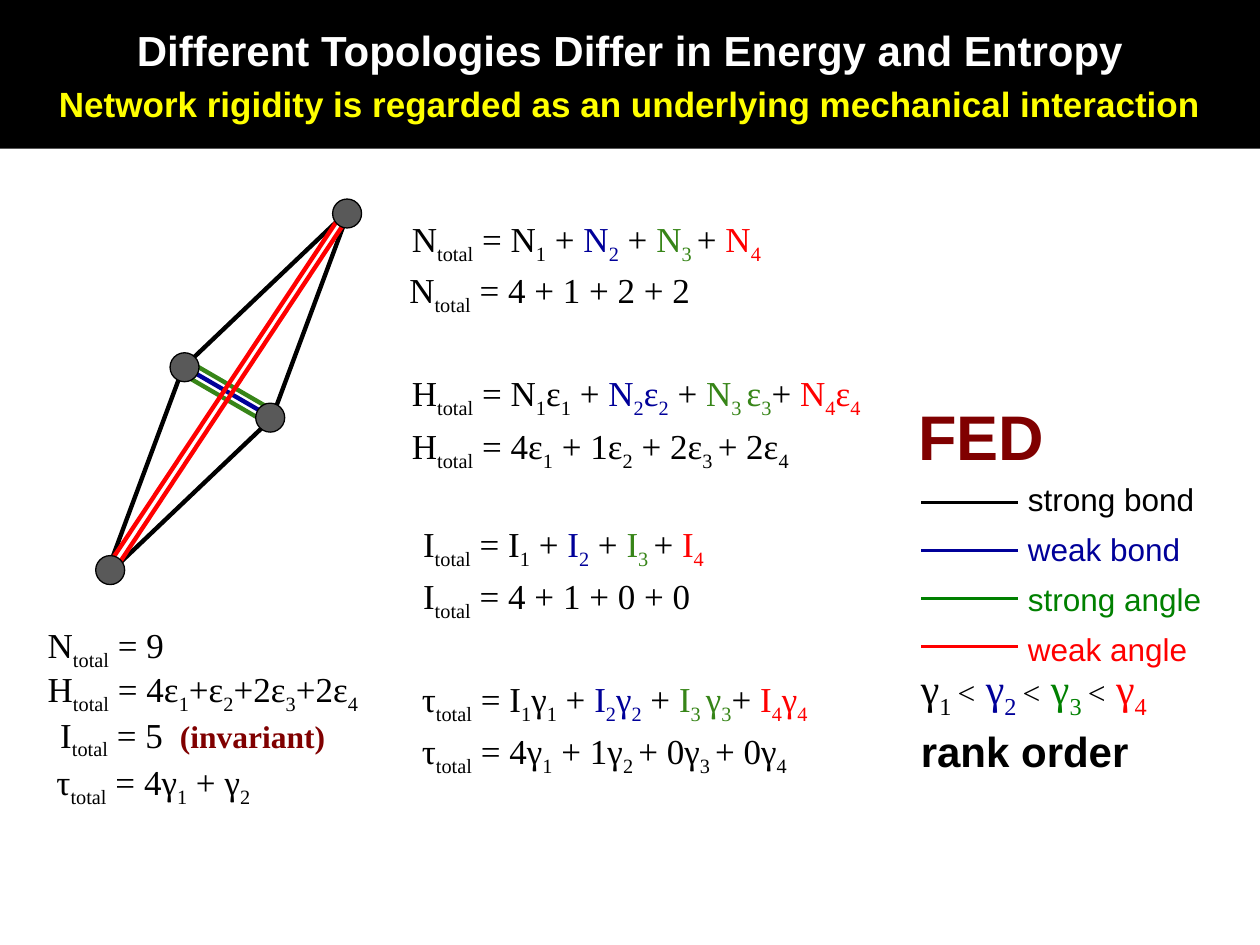
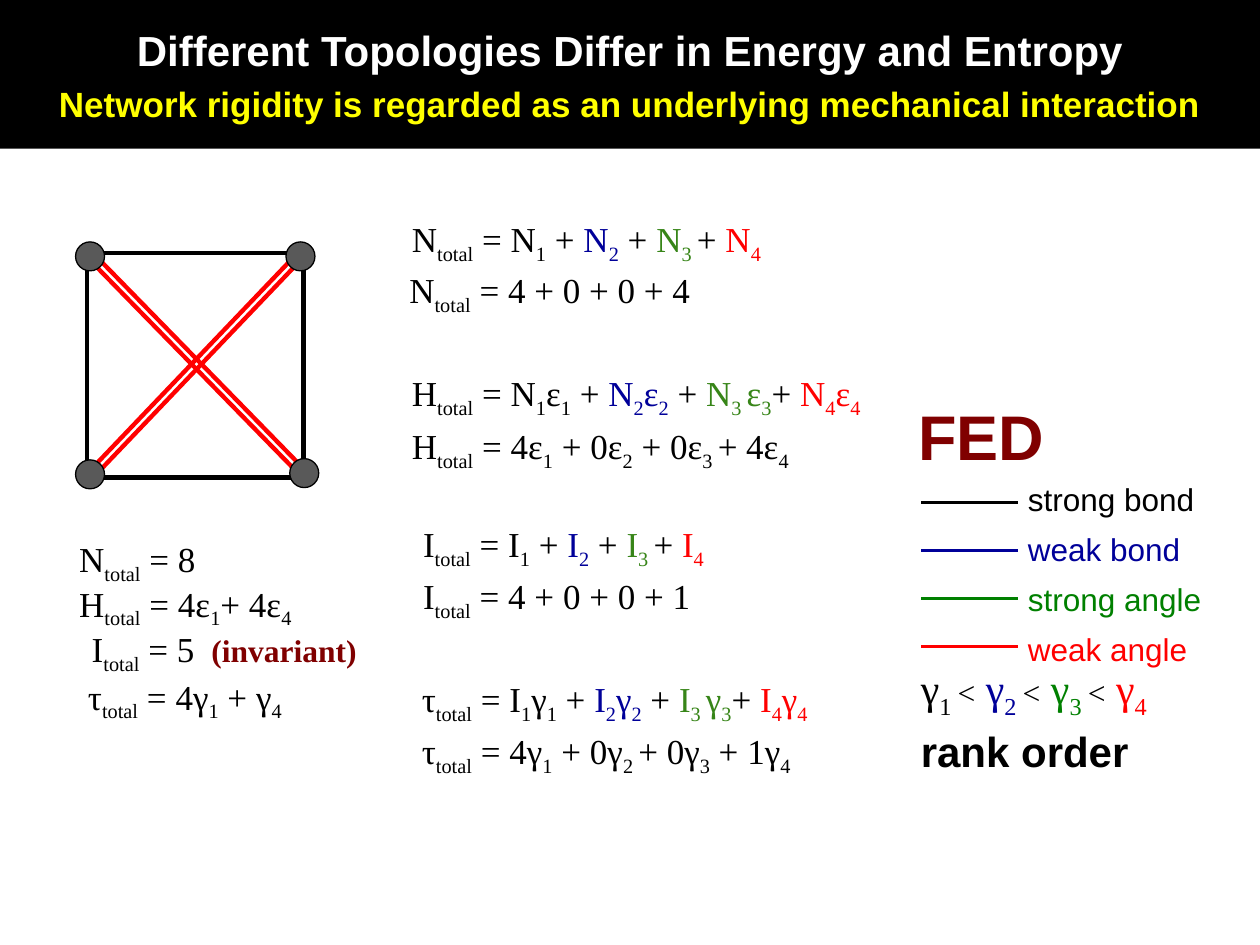
from lxml import etree
from pptx import Presentation
from pptx.dml.color import RGBColor
from pptx.enum.shapes import MSO_CONNECTOR, MSO_SHAPE
from pptx.enum.text import MSO_ANCHOR, PP_ALIGN
from pptx.oxml.ns import qn
from pptx.util import Inches, Pt

STRAIGHT = MSO_CONNECTOR.STRAIGHT
RECTANGLE, OVAL = MSO_SHAPE.RECTANGLE, MSO_SHAPE.OVAL
PARALLELOGRAM = MSO_SHAPE.PARALLELOGRAM
MIDDLE, TOP = MSO_ANCHOR.MIDDLE, MSO_ANCHOR.TOP
CENTER, LEFT = PP_ALIGN.CENTER, PP_ALIGN.LEFT

SANS, SERIF = "Arial", "Times New Roman"
BLACK, WHITE, YELLOW, GRAY = "000000", "FFFFFF", "FFFF00", "595959"
NAVY, LEAF, GREEN, RED, MAROON = "000099", "378518", "008000", "FF0000", "800000"

# Shared content; braces mark subscripts
TITLE = "Different Topologies Differ in Energy and Entropy"
SUBTITLE = "Network rigidity is regarded as an underlying mechanical interaction"
TERM_COLORS = [BLACK, NAVY, LEAF, RED]
JOINERS = ["", " + ", " + ", "+ "]
GENERAL_FORMULAS = [  # left, top, total, terms
    (3.17, 1.68, "N", ["N{1}", "N{2}", "N{3 }", "N{4}"]),
    (3.17, 2.90, "H", ["N{1}ε{1}", "N{2}ε{2}", "N{3 }ε{3}", "N{4}ε{4}"]),
    (3.26, 4.10, "I", ["I{1}", "I{2}", "I{3 }", "I{4}"]),
    (3.25, 5.33, "τ", ["I{1}γ{1}", "I{2}γ{2}", "I{3 }γ{3}", "I{4}γ{4}"]),
]
COUNT_PLACES = [(3.15, 2.08), (3.17, 3.32), (3.26, 4.51), (3.25, 5.74)]
RESULT_OFFSETS = [(0, 0), (0, 0.35), (0.1, 0.71), (0.07, 1.09)]
LEGEND = [("strong bond", BLACK), ("weak bond", NAVY),
          ("strong angle", GREEN), ("weak angle", RED)]

# One topology per slide
TOPOLOGIES = [
    {
        "frame": (PARALLELOGRAM, 0.1, 2.72, 3.41, 0.8),
        "bars": [
            ((1.45, 2.97), (2.14, 3.37), LEAF), ((1.5, 2.87), (2.19, 3.27), LEAF),
            ((1.46, 2.91), (2.15, 3.31), NAVY),
            ((2.74, 1.76), (0.92, 4.51), RED), ((2.69, 1.73), (0.87, 4.47), RED),
        ],
        "nodes": [(2.03, 3.2), (1.35, 2.8), (0.76, 4.41), (2.64, 1.58)],
        "counts": ["N{total} = 4 + 1 + 2 + 2",
                   "H{total} = 4ε{1} + 1ε{2} + 2ε{3 }+ 2ε{4}",
                   "I{total} = 4 + 1 + 0 + 0",
                   "τ{total} = 4γ{1} + 1γ{2 }+ 0γ{3 }+ 0γ{4}"],
        "results_at": (0.28, 4.9),
        "results": ["N{total} = 9", "H{total} = 4ε{1}+ε{2}+2ε{3}+2ε{4}",
                    "I{total} = 5", "τ{total} = 4γ{1} + γ{2}"],
    },
    {
        "frame": (RECTANGLE, 0.69, 2.01, 1.72, 1.78),
        "bars": [
            ((0.72, 1.99), (2.42, 3.73), RED), ((0.69, 2.04), (2.39, 3.78), RED),
            ((0.69, 3.76), (2.37, 2), RED), ((0.73, 3.8), (2.41, 2.04), RED),
        ],
        "nodes": [(2.27, 1.92), (0.6, 3.65), (2.3, 3.64), (0.6, 1.92)],
        "counts": ["N{total} = 4 + 0 + 0 + 4",
                   "H{total} = 4ε{1} + 0ε{2} + 0ε{3 }+ 4ε{4}",
                   "I{total} = 4 + 0 + 0 + 1",
                   "τ{total} = 4γ{1} + 0γ{2 }+ 0γ{3} + 1γ{4}"],
        "results_at": (0.53, 4.22),
        "results": ["N{total} = 8", "H{total} = 4ε{1}+ 4ε{4}",
                    "I{total} = 5", "τ{total} = 4γ{1} + γ{4}"],
    },
]


def rgb(color):
    return RGBColor.from_string(color)


def style(font, name, size, color, bold=False):
    font.name, font.size, font.bold = name, Pt(size), bold
    font.color.rgb = rgb(color)


def add_text(slide, left, top, width, height):
    frame = slide.shapes.add_textbox(
        Inches(left), Inches(top), Inches(width), Inches(height)).text_frame
    frame.word_wrap = True
    return frame


def add_runs(paragraph, text, color=None):
    """Split the text at braces; every second part is a subscript."""
    for number, part in enumerate(text.replace("}", "{").split("{")):
        if part:
            run = paragraph.add_run()
            run.text = part
            if color:
                run.font.color.rgb = rgb(color)
            if number % 2:
                run.font._element.set("baseline", "-25000")


def add_formula(slide, left, top, pieces, size=20, width=4, tab=None):
    paragraph = add_text(slide, left, top, width, 0.44).paragraphs[0]
    if tab:
        tabs = etree.SubElement(paragraph._p.get_or_add_pPr(), qn("a:tabLst"))
        etree.SubElement(tabs, qn("a:tab"), pos=str(Inches(tab)), algn="l")
    style(paragraph.font, SERIF, size, BLACK)
    for text, color in pieces:
        add_runs(paragraph, text, color)
    return paragraph


def add_shape(slide, kind, left, top, width, height, fill=None, line_width=None):
    shape = slide.shapes.add_shape(
        kind, Inches(left), Inches(top), Inches(width), Inches(height))
    shape.shadow.inherit = False
    if fill:
        shape.fill.solid()
        shape.fill.fore_color.rgb = rgb(fill)
    else:
        shape.fill.background()
    if line_width:
        shape.line.color.rgb = rgb(BLACK)
        shape.line.width = Pt(line_width)
    else:
        shape.line.fill.background()
    return shape


def add_line(slide, start, end, color, width):
    line = slide.shapes.add_connector(
        STRAIGHT, *(Inches(value) for value in (*start, *end)))
    line.line.color.rgb = rgb(color)
    line.line.width = Pt(width)
    etree.SubElement(line._element.spPr, qn("a:effectLst"))


def add_label(slide, left, top, text, size, color):
    paragraph = add_text(slide, left, top, 2.2, 0.5).paragraphs[0]
    paragraph.text = text
    style(paragraph.font, SANS, size, color, True)


def add_title_band(slide):
    frame = add_shape(slide, RECTANGLE, 0, 0, 10, 1.18, BLACK).text_frame
    frame.word_wrap = True
    frame.vertical_anchor = MIDDLE
    title, subtitle = frame.paragraphs[0], frame.add_paragraph()
    subtitle.space_before = Pt(4)
    for paragraph, text, size, color in ((title, TITLE, 24, WHITE),
                                         (subtitle, SUBTITLE, 20, YELLOW)):
        paragraph.text = text
        paragraph.alignment = CENTER
        style(paragraph.font, SANS, size, color, True)


def add_legend(slide):
    add_label(slide, 7.19, 3.11, "FED", 36, MAROON)
    frame = add_text(slide, 8.06, 3.76, 1.9, 1.57)
    frame.vertical_anchor = TOP
    for row, (name, color) in enumerate(LEGEND):
        paragraph = frame.add_paragraph() if row else frame.paragraphs[0]
        paragraph.text = name
        paragraph.alignment = LEFT
        paragraph.space_after = Pt(7)
        style(paragraph.font, SANS, 18, color)
        y = 3.99 + 0.38 * row
        add_line(slide, (7.31, y), (8.08, y), color, 2)

    # Rank order of the entropies, with smaller signs between them
    order = add_formula(slide, 7.21, 5.21, [], 24, 2.4)
    for rank, (_, color) in enumerate(LEGEND, 1):
        if rank > 1:
            sign = order.add_run()
            sign.text = "<"
            sign.font.size = Pt(18)
            add_runs(order, " ")
        add_runs(order, f"γ{{{rank} }}" if rank < 4 else "γ{4}", color)
    add_label(slide, 7.21, 5.71, "rank order", 24, BLACK)


def add_network(slide, topology):
    kind = topology["frame"][0]
    outline = add_shape(slide, *topology["frame"], line_width=2.5)
    if kind == PARALLELOGRAM:
        outline.adjustments[0] = 2.047
        outline.rotation = 110.4
        outline._element.spPr.find(qn("a:xfrm")).set("flipH", "1")
    for start, end, color in topology["bars"]:
        add_line(slide, start, end, color, 2.5)
    for left, top in topology["nodes"]:
        add_shape(slide, OVAL, left, top, 0.23, 0.23, GRAY, 0.75)


def add_formulas(slide, topology):
    # General sums, each term in its own colour
    for left, top, total, terms in GENERAL_FORMULAS:
        pieces = [(total + "{total} = ", None)]
        for joiner, term, color in zip(JOINERS, terms, TERM_COLORS):
            pieces += [(joiner, None), (term, color)]
        add_formula(slide, left, top, pieces)

    # Sums with the counts of this topology
    for (left, top), text in zip(COUNT_PLACES, topology["counts"]):
        add_formula(slide, left, top, [(text, None)])

    # Results under the network
    left, top = topology["results_at"]
    for (dx, dy), text in zip(RESULT_OFFSETS, topology["results"]):
        invariant = text.startswith("I")
        paragraph = add_formula(slide, left + dx, top + dy, [(text, None)],
                                width=3.1, tab=0.95 if invariant else None)
        if invariant:
            add_runs(paragraph, "\t")
            note = paragraph.add_run()
            note.text = "(invariant)"
            style(note.font, SERIF, 18, MAROON, True)


def main():
    presentation = Presentation()
    presentation.slide_width, presentation.slide_height = Inches(10), Inches(7.5)
    for topology in TOPOLOGIES:
        slide = presentation.slides.add_slide(presentation.slide_layouts[6])
        add_title_band(slide)
        add_network(slide, topology)
        add_formulas(slide, topology)
        add_legend(slide)
    presentation.save("out.pptx")


if __name__ == "__main__":
    main()
